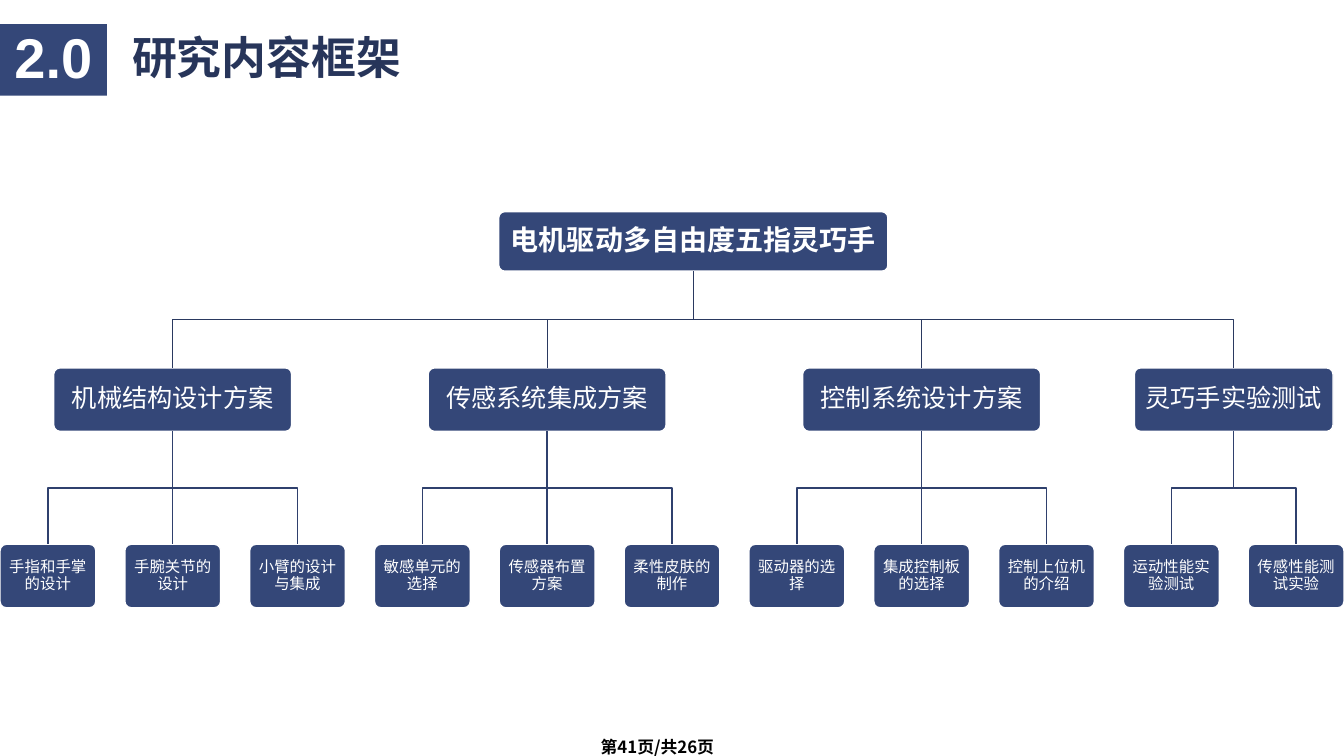
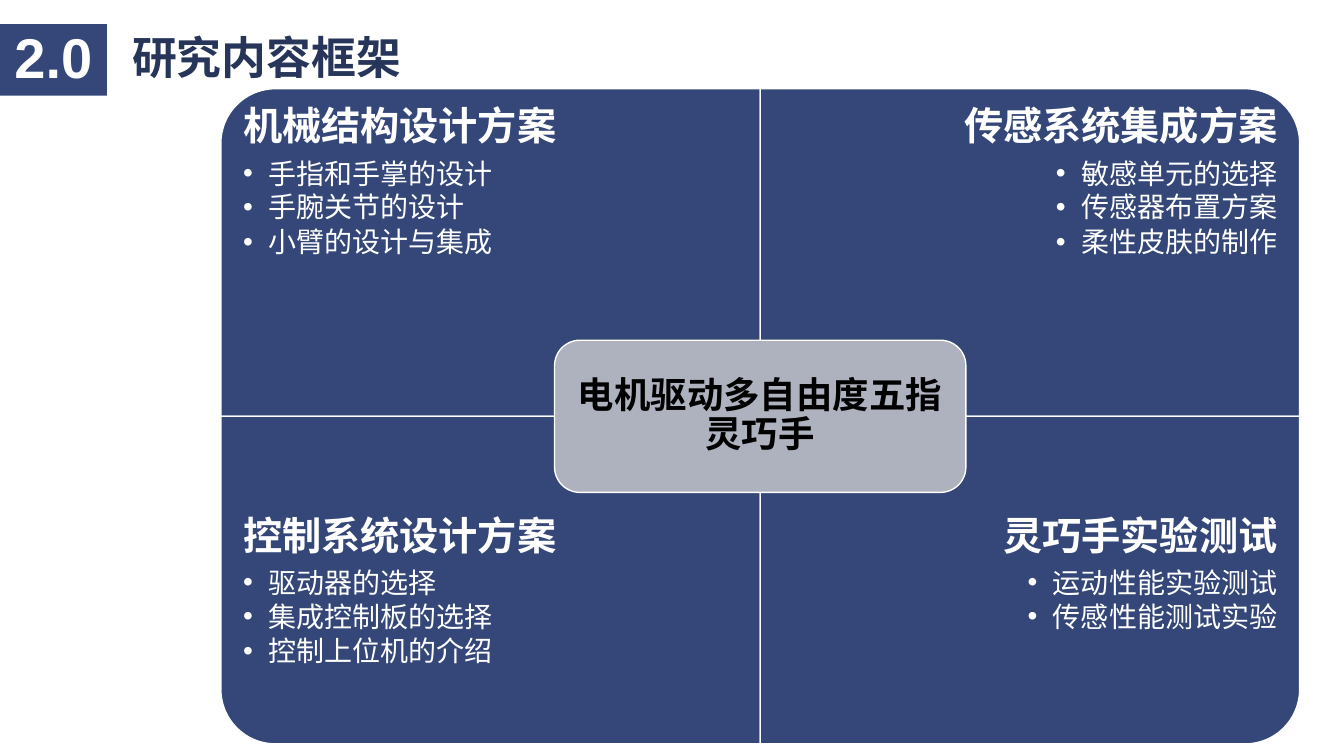
from lxml import etree
from pptx import Presentation
from pptx.dml.color import RGBColor
from pptx.enum import shapes, text
from pptx.oxml.ns import qn
from pptx.util import Inches, Pt

NAVY = RGBColor(0x34, 0x47, 0x78)
TITLE_NAVY = RGBColor(0x27, 0x35, 0x5A)
UPPER_LINE = RGBColor(0x2A, 0x39, 0x60)
LOWER_LINE = RGBColor(0x2F, 0x40, 0x6D)
GREY = RGBColor(0xAE, 0xB1, 0xBE)
WHITE = RGBColor(0xFF, 0xFF, 0xFF)
BLACK = RGBColor(0, 0, 0)
CJK, LATIN = "Noto Sans CJK SC", "Arial"
LEFT, CENTER, RIGHT = text.PP_ALIGN.LEFT, text.PP_ALIGN.CENTER, text.PP_ALIGN.RIGHT
TOP, MIDDLE = text.MSO_ANCHOR.TOP, text.MSO_ANCHOR.MIDDLE
KIND = shapes.MSO_SHAPE

SECTION, TITLE = "2.0", "研究内容框架"
PAGE_LABEL = "第41页/共26页"
TOPIC = "电机驱动多自由度五指灵巧手"
BRANCHES = [
    ("机械结构设计方案", 2.36, ["手指和手掌的设计", "手腕关节的设计", "小臂的设计与集成"]),
    ("传感系统集成方案", 2.36, ["敏感单元的选择", "传感器布置方案", "柔性皮肤的制作"]),
    ("控制系统设计方案", 2.36, ["驱动器的选择", "集成控制板的选择", "控制上位机的介绍"]),
    ("灵巧手实验测试", 1.97, ["运动性能实验测试", "传感性能测试实验"]),
]

ROOT_TOP, ROOT_W, ROOT_H = 2.1, 3.86, 0.59
BRANCH_TOP, LEAF_TOP, NODE_H = 3.65, 5.4, 0.63
LEAF_W, LAST_LEAF_LEFT = 0.95, 12.38
LEAF_PITCH = LAST_LEAF_LEFT / (sum(len(items) for _, _, items in BRANCHES) - 1)

MATRIX_LEFT, MATRIX_TOP, CELL_W, CELL_H = 2.19, 0.88, 5.35, 3.25
CELL_TEXT_H = 2.44
HUB_W, HUB_H = 4.08, 1.51


def set_frame(shape, inset_x, inset_y, anchor):
    frame = shape.text_frame
    frame.word_wrap = True
    frame.vertical_anchor = anchor
    frame.auto_size = text.MSO_AUTO_SIZE.NONE
    frame.margin_left = frame.margin_right = Inches(inset_x)
    frame.margin_top = frame.margin_bottom = Inches(inset_y)
    return frame


def write(para, words, size, color, bold=False, font=CJK, align=CENTER, spacing=None):
    para.alignment = align
    if spacing:
        para.line_spacing = spacing
    span = para.add_run()
    span.text = words
    span.font.size, span.font.bold, span.font.name = Pt(size), bold, font
    span.font.color.rgb = color
    etree.SubElement(span.font._element, qn("a:ea")).set("typeface", font)


def add_box(page, kind, left, top, width, height, fill=NAVY, outline=WHITE):
    box = page.shapes.add_shape(kind, Inches(left), Inches(top), Inches(width), Inches(height))
    box.shadow.inherit = False
    box.fill.solid()
    box.fill.fore_color.rgb = fill
    if outline is None:
        box.line.fill.background()
    else:
        box.line.color.rgb = outline
        box.line.width = Pt(1)
    return box


def add_text(page, left, top, width, height, inset_x=0.1, inset_y=0.05, anchor=TOP):
    box = page.shapes.add_textbox(Inches(left), Inches(top), Inches(width), Inches(height))
    return set_frame(box, inset_x, inset_y, anchor)


def add_page(deck):
    page = deck.slides.add_slide(deck.slide_layouts[5])
    title = page.shapes.title
    title.left, title.top = Inches(1.21), Inches(0.21)
    title.width, title.height = Inches(7.04), Inches(0.71)
    frame = set_frame(title, 0.1, 0.05, MIDDLE)
    write(frame.paragraphs[0], TITLE, 32, TITLE_NAVY, True, align=LEFT)
    badge = add_box(page, KIND.RECTANGLE, 0, 0.24, 1.06, 0.71, outline=None)
    frame = set_frame(badge, 0.1, 0.05, MIDDLE)
    write(frame.paragraphs[0], SECTION, 40, WHITE, True, LATIN, spacing=0.9)
    return page


def add_node(page, words, center, top, width, height, size, inset, bold=False):
    node = add_box(page, KIND.ROUNDED_RECTANGLE, center - width / 2, top, width, height)
    node.adjustments[0] = 0.1
    frame = set_frame(node, inset, inset, MIDDLE)
    write(frame.paragraphs[0], words, size, WHITE, bold, spacing=0.9)
    return node


def add_straight(page, parent, child, x, bottom, top):
    line = page.shapes.add_connector(
        shapes.MSO_CONNECTOR.STRAIGHT, Inches(x), Inches(bottom), Inches(x), Inches(top))
    line.begin_connect(parent, 2)
    line.end_connect(child, 0)
    etree.SubElement(line._element.spPr, qn("a:effectLst"))
    return line


def add_elbow(page, x1, y1, x2, y2):
    middle = (y1 + y2) / 2
    builder = page.shapes.build_freeform(Inches(x1), Inches(y1))
    corners = [(x1, middle), (x2, middle), (x2, y2)]
    builder.add_line_segments([(Inches(x), Inches(y)) for x, y in corners], close=False)
    elbow = builder.convert_to_shape()
    elbow.shadow.inherit = False
    elbow.fill.background()
    return elbow


def join(page, parent, parent_x, bottom, children, centers, top, color):
    for child, center in zip(children, centers):
        if abs(center - parent_x) < 0.01:
            link = add_straight(page, parent, child, center, bottom, top)
        else:
            link = add_elbow(page, parent_x, bottom, center, top)
        link.line.color.rgb = color
        link.line.width = Pt(1)


def build_tree(page):
    branches, centers, index = [], [], 0
    for name, width, items in BRANCHES:
        xs = [LEAF_W / 2 + LEAF_PITCH * (index + i) for i in range(len(items))]
        index += len(items)
        center = sum(xs) / len(xs)
        branch = add_node(page, name, center, BRANCH_TOP, width, NODE_H, 18, 0.09)
        leaves = [add_node(page, item, x, LEAF_TOP, LEAF_W, NODE_H, 11, 0.07)
                  for item, x in zip(items, xs)]
        join(page, branch, center, BRANCH_TOP + NODE_H, leaves, xs, LEAF_TOP, LOWER_LINE)
        branches.append(branch)
        centers.append(center)
    left_edge = centers[0] - BRANCHES[0][1] / 2
    right_edge = centers[-1] + BRANCHES[-1][1] / 2
    middle = (left_edge + right_edge) / 2
    root = add_node(page, TOPIC, middle, ROOT_TOP, ROOT_W, ROOT_H, 20, 0.09, True)
    join(page, root, middle, ROOT_TOP + ROOT_H, branches, centers, BRANCH_TOP, UPPER_LINE)
    footer = add_text(page, 5.02, 7.26, 3, 0.4)
    write(footer.paragraphs[0], PAGE_LABEL, 12, BLACK, True)


def add_bullet(para):
    props = para._p.get_or_add_pPr()
    props.set("marL", str(Inches(0.25)))
    props.set("indent", str(-Inches(0.25)))
    etree.SubElement(props, qn("a:buFont")).set("typeface", LATIN)
    etree.SubElement(props, qn("a:buChar")).set("char", "•")


def build_matrix(page):
    for index, (name, _, items) in enumerate(BRANCHES):
        row, column = divmod(index, 2)
        left, top = MATRIX_LEFT + column * CELL_W, MATRIX_TOP + row * CELL_H
        rotation = [270, 0, 180, 90][index]
        width, height = (CELL_H, CELL_W) if rotation % 180 else (CELL_W, CELL_H)
        cell = add_box(page, KIND.ROUND_1_RECTANGLE, left + (CELL_W - width) / 2,
                       top + (CELL_H - height) / 2, width, height)
        cell.rotation = rotation
        text_top = top + row * (CELL_H - CELL_TEXT_H)
        frame = add_text(page, left, text_top, CELL_W, CELL_TEXT_H, 0.22, 0.22)
        align = RIGHT if column else LEFT
        heading = frame.paragraphs[0]
        heading.space_after = Pt(10)
        write(heading, name, 28, WHITE, True, align=align, spacing=0.8)
        for number, item in enumerate(items):
            para = frame.add_paragraph()
            para.level = 1
            para.space_after = Pt(3)
            add_bullet(para)
            write(para, item, 20, WHITE, align=align, spacing=0.9 if number else 0.8)
    hub = add_box(page, KIND.ROUNDED_RECTANGLE, MATRIX_LEFT + CELL_W - HUB_W / 2,
                  MATRIX_TOP + CELL_H - HUB_H / 2, HUB_W, HUB_H, GREY)
    frame = set_frame(hub, 0.11, 0.11, MIDDLE)
    write(frame.paragraphs[0], TOPIC, 26, BLACK, True, spacing=0.9)


def main():
    deck = Presentation()
    deck.slide_width, deck.slide_height = Inches(13.33), Inches(7.5)
    build_tree(add_page(deck))
    build_matrix(add_page(deck))
    deck.save("out.pptx")


if __name__ == "__main__":
    main()
